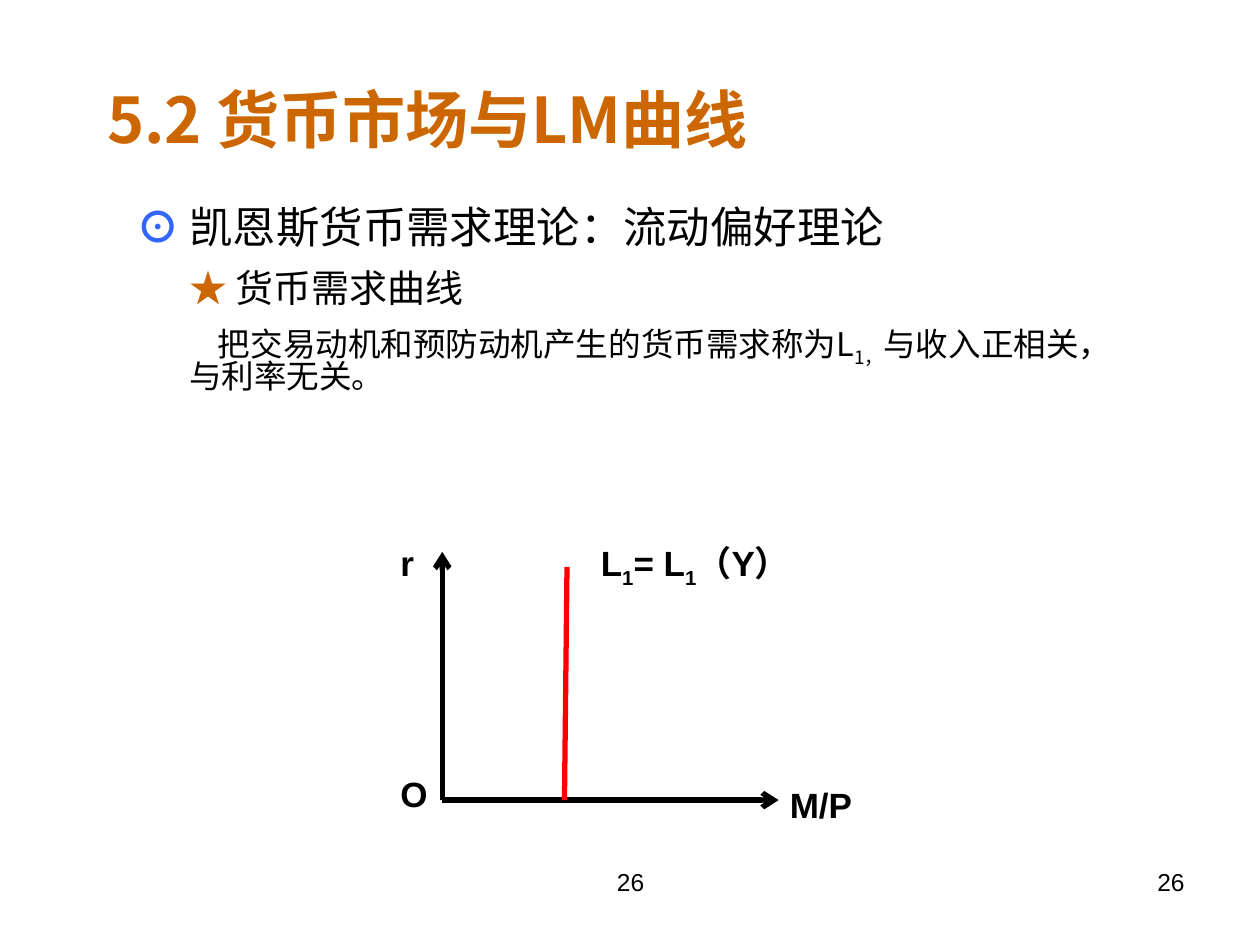
from typing import NamedTuple

from lxml import etree
from pptx import Presentation
from pptx.dml.color import RGBColor
from pptx.enum.shapes import MSO_CONNECTOR
from pptx.enum.text import MSO_ANCHOR, MSO_AUTO_SIZE, PP_ALIGN
from pptx.oxml.ns import qn
from pptx.util import Inches, Pt

LEFT, CENTER, RIGHT = PP_ALIGN.LEFT, PP_ALIGN.CENTER, PP_ALIGN.RIGHT
MIDDLE, TOP = MSO_ANCHOR.MIDDLE, MSO_ANCHOR.TOP
FIXED = MSO_AUTO_SIZE.NONE
STRAIGHT = MSO_CONNECTOR.STRAIGHT

BLACK = RGBColor(0x00, 0x00, 0x00)
ORANGE = RGBColor(0xCC, 0x66, 0x00)
BLUE = RGBColor(0x33, 0x66, 0xFF)
RED = RGBColor(0xFF, 0x00, 0x00)
SANS, CJK = "Arial", "Noto Sans CJK SC"


class Run(NamedTuple):
    text: str
    size: float
    color: RGBColor = BLACK
    face: str = CJK
    bold: bool = False
    sub: bool = False


class Item(NamedTuple):
    runs: list[Run]
    level: int = 0
    left: float = 0
    first: float = 0
    before: float = 0


class Label(NamedTuple):
    runs: list[Run]
    box: tuple[float, float, float, float]
    align: PP_ALIGN = LEFT


class Line(NamedTuple):
    start: tuple[float, float]
    end: tuple[float, float]
    color: RGBColor = BLACK
    arrow: bool = True


def mark(text: str, sub: bool = False) -> Run:
    return Run(text, 20, face=SANS, bold=True, sub=sub)


def page(text: str) -> Run:
    return Run(text, 14, face=SANS)


TITLE = [Run("5.2 货币市场与LM曲线", 36, ORANGE, bold=True)]
ITEMS = [
    Item([Run("⊙ ", 24.8, BLUE, bold=True),
          Run("凯恩斯货币需求理论：流动偏好理论", 24.8, face=SANS)]),
    Item([Run("★ ", 21.7, ORANGE), Run("货币需求曲线", 21.7)],
         1, 0.42, 0, 12.2),
    Item([Run("把交易动机和预防动机产生的货币需求称为L", 18.6),
          Run("1，", 18.6, sub=True),
          Run("与收入正相关，与利率无关。", 18.6)],
         1, 0.42, 0.23, 10.5),
]
ORIGIN = (3.51, 6.35)
LINES = [
    Line(ORIGIN, (3.51, 4.38)),
    Line(ORIGIN, (6.18, 6.35)),
    Line((4.5, 4.5), (4.48, 6.35), RED, False),
]
LABELS = [
    Label([page("26")], (3.42, 6.83, 3.17, 0.52), CENTER),
    Label([page("26")], (7.17, 6.83, 2.33, 0.52), RIGHT),
    Label([mark("O")], (3.08, 6.08, 0.5, 0.5)),
    Label([mark("r")], (3.08, 4.25, 0.28, 0.44)),
    Label([mark("M/P")], (6.17, 6.17, 0.73, 0.44)),
    Label([mark("L"), mark("1", True), mark("= L"), mark("1", True),
           mark("（Y）")], (4.67, 4.25, 1.77, 0.82)),
]


def apply(target, values: dict) -> None:
    for name, value in values.items():
        setattr(target, name, value)


def place(shape, box: tuple[float, float, float, float]) -> None:
    names = ("left", "top", "width", "height")
    apply(shape, dict(zip(names, map(Inches, box))))


def write(para, runs: list[Run]) -> None:
    for item in runs:
        run = para.add_run()
        run.text = item.text
        apply(run.font, {"size": Pt(item.size), "name": item.face,
                         "bold": item.bold})
        run.font.color.rgb = item.color
        props = run.font._element
        etree.SubElement(props, qn("a:ea")).set("typeface", CJK)
        if item.sub:
            props.set("baseline", "-25000")


def draw_title(shape) -> None:
    place(shape, (0.75, 0.6, 8, 0.67))
    frame = shape.text_frame
    apply(frame, {"auto_size": FIXED, "vertical_anchor": MIDDLE,
                  "word_wrap": True})
    para = frame.paragraphs[0]
    para.alignment = LEFT
    write(para, TITLE)


def draw_body(shape) -> None:
    place(shape, (0.98, 1.62, 8.16, 1.83))
    frame = shape.text_frame
    apply(frame, {"auto_size": FIXED, "vertical_anchor": TOP,
                  "word_wrap": True})
    for i, item in enumerate(ITEMS):
        para = frame.add_paragraph() if i else frame.paragraphs[0]
        apply(para, {"level": item.level, "alignment": LEFT,
                     "line_spacing": 0.8, "space_before": Pt(item.before),
                     "space_after": Pt(0)})
        props = para._p.get_or_add_pPr()
        props.set("marL", str(Inches(item.left)))
        props.set("indent", str(Inches(item.first)))
        etree.SubElement(props, qn("a:buNone"))
        write(para, item.runs)


def draw_label(shapes, label: Label) -> None:
    frame = shapes.add_textbox(*map(Inches, label.box)).text_frame
    frame.word_wrap = True
    para = frame.paragraphs[0]
    para.alignment = label.align
    write(para, label.runs)


def draw_line(shapes, line: Line) -> None:
    shape = shapes.add_connector(
        STRAIGHT, *map(Inches, line.start + line.end))
    shape.line.width = Pt(3)
    shape.line.color.rgb = line.color
    if line.arrow:
        stroke = shape.line._get_or_add_ln()
        etree.SubElement(stroke, qn("a:tailEnd")).set("type", "arrow")
    etree.SubElement(shape._element.spPr, qn("a:effectLst"))


def main() -> None:
    deck = Presentation()
    apply(deck, {"slide_width": Inches(10), "slide_height": Inches(7.5)})
    slide = deck.slides.add_slide(deck.slide_layouts[1])
    draw_title(slide.shapes.title)
    draw_body(slide.placeholders[1])
    for line in LINES:
        draw_line(slide.shapes, line)
    for label in LABELS:
        draw_label(slide.shapes, label)
    deck.save("out.pptx")


if __name__ == "__main__":
    main()
